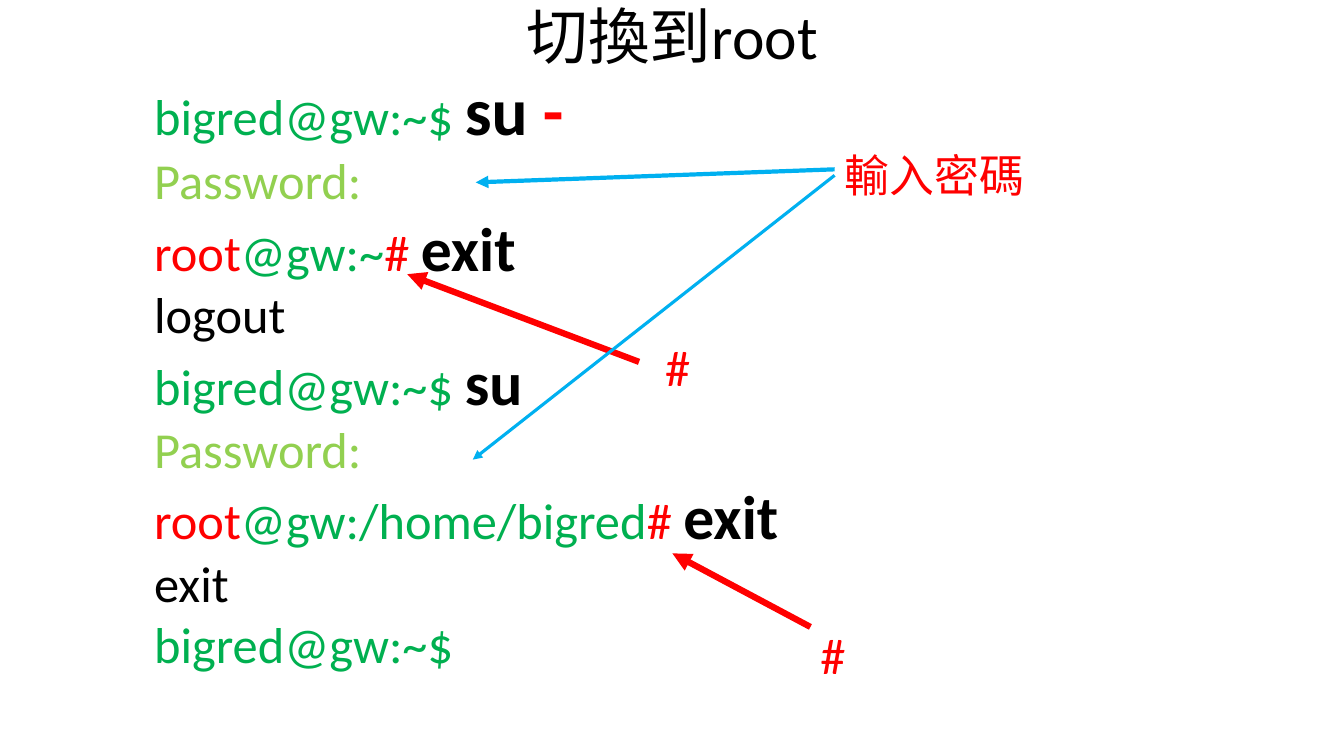
from lxml import etree
from pptx import Presentation
from pptx import util as u
from pptx.dml.color import RGBColor
from pptx.enum import shapes, text
from pptx.oxml import ns

BLACK = RGBColor(0x00, 0x00, 0x00)
RED = RGBColor(0xFF, 0x00, 0x00)
GREEN = RGBColor(0x00, 0xB0, 0x50)
LIME = RGBColor(0x92, 0xD0, 0x50)
BLUE = RGBColor(0x00, 0xB0, 0xF0)
FONT = "Calibri"
WIDTH, HEIGHT = u.Inches(13.33), u.Inches(7.5)

USER_PROMPT = ("bigred@gw:~$ ", GREEN)
PASSWORD = [("Password:", LIME)]
ROOT = ("root", RED)
HASH = ("# ", RED)
EXIT = ("exit", BLACK, 44, True)
SESSION = [
    [USER_PROMPT, ("su ", BLACK, 48, True), ("-", RED, 48, True)],
    PASSWORD,
    [ROOT, ("@gw:~", GREEN), HASH, EXIT],
    [("logout", BLACK)],
    [USER_PROMPT, ("su", BLACK, 44, True)],
    PASSWORD,
    [ROOT, ("@gw:/home/bigred", GREEN), HASH, EXIT],
    [("exit", BLACK)],
    [("bigred@gw:~$", GREEN)],
]


def across(percent):
    """Turn a percentage of the slide width into a length."""
    return round(WIDTH * percent / 100)


def down(percent):
    """Turn a percentage of the slide height into a length."""
    return round(HEIGHT * percent / 100)


def add_run(paragraph, words, color, size=36, bold=False):
    """Append one formatted run to a paragraph."""
    run = paragraph.add_run()
    run.text = words
    run.font.name = FONT
    run.font.size = u.Pt(size)
    run.font.bold = bold
    run.font.color.rgb = color


def format_title(shape, words):
    """Place and fill the title placeholder."""
    shape.left, shape.top = across(6.9), 0
    shape.width, shape.height = across(86.25), down(10.53)
    frame = shape.text_frame
    frame.auto_size = text.MSO_AUTO_SIZE.NONE
    frame.vertical_anchor = text.MSO_ANCHOR.MIDDLE
    paragraph = frame.paragraphs[0]
    paragraph.alignment = text.PP_ALIGN.CENTER
    paragraph.line_spacing = 0.9
    add_run(paragraph, words, BLACK, 44)


def add_text(slide, left, top, width, height, lines, wrap=True):
    """Add a text box with one paragraph per line of runs."""
    shape = slide.shapes.add_textbox(
        across(left), down(top), across(width), down(height))
    frame = shape.text_frame
    frame.word_wrap = wrap
    frame.auto_size = text.MSO_AUTO_SIZE.SHAPE_TO_FIT_TEXT
    for index, runs in enumerate(lines):
        paragraph = frame.add_paragraph() if index else frame.paragraphs[0]
        for run in runs:
            add_run(paragraph, *run)
    return shape


def add_arrow(slide, start, end, color, weight):
    """Add a straight arrow between two points given in percentages."""
    arrow = slide.shapes.add_connector(
        shapes.MSO_CONNECTOR.STRAIGHT,
        across(start[0]), down(start[1]), across(end[0]), down(end[1]))
    arrow.line.color.rgb = color
    arrow.line.width = u.Pt(weight)
    outline = arrow.line._get_or_add_ln()
    etree.SubElement(outline, ns.qn("a:tailEnd"), type="triangle")
    etree.SubElement(arrow._element.spPr, ns.qn("a:effectLst"))
    return arrow


def main():
    """Build the slide and save it."""
    presentation = Presentation()
    presentation.slide_width, presentation.slide_height = WIDTH, HEIGHT
    slide = presentation.slides.add_slide(presentation.slide_layouts[5])
    format_title(slide.shapes.title, "切換到root")
    add_text(slide, 10.73, 8.4, 78.53, 82.13, SESSION)

    add_arrow(slide, (62.1, 22.4), (35.4, 24.13), BLUE, 3)
    password_label = add_text(slide, 62.1, 18.93, 15, 8.53,
                              [[("輸入密碼", RED, 32)]], wrap=False)

    hash_label = [[("#", RED)]]
    add_arrow(slide, (47.55, 47.87), (30.3, 36.27), RED, 4.5)
    add_text(slide, 48.75, 43.87, 3.38, 9.47, hash_label, wrap=False)
    add_arrow(slide, (60.3, 82.93), (50.03, 73.2), RED, 4.5)
    add_text(slide, 60.3, 81.87, 5.7, 9.47, hash_label)

    second_password = add_arrow(slide, (62.1, 23.2), (35.18, 60.8), BLUE, 2.25)
    second_password.begin_connect(password_label, 1)
    presentation.save("out.pptx")


if __name__ == "__main__":
    main()
